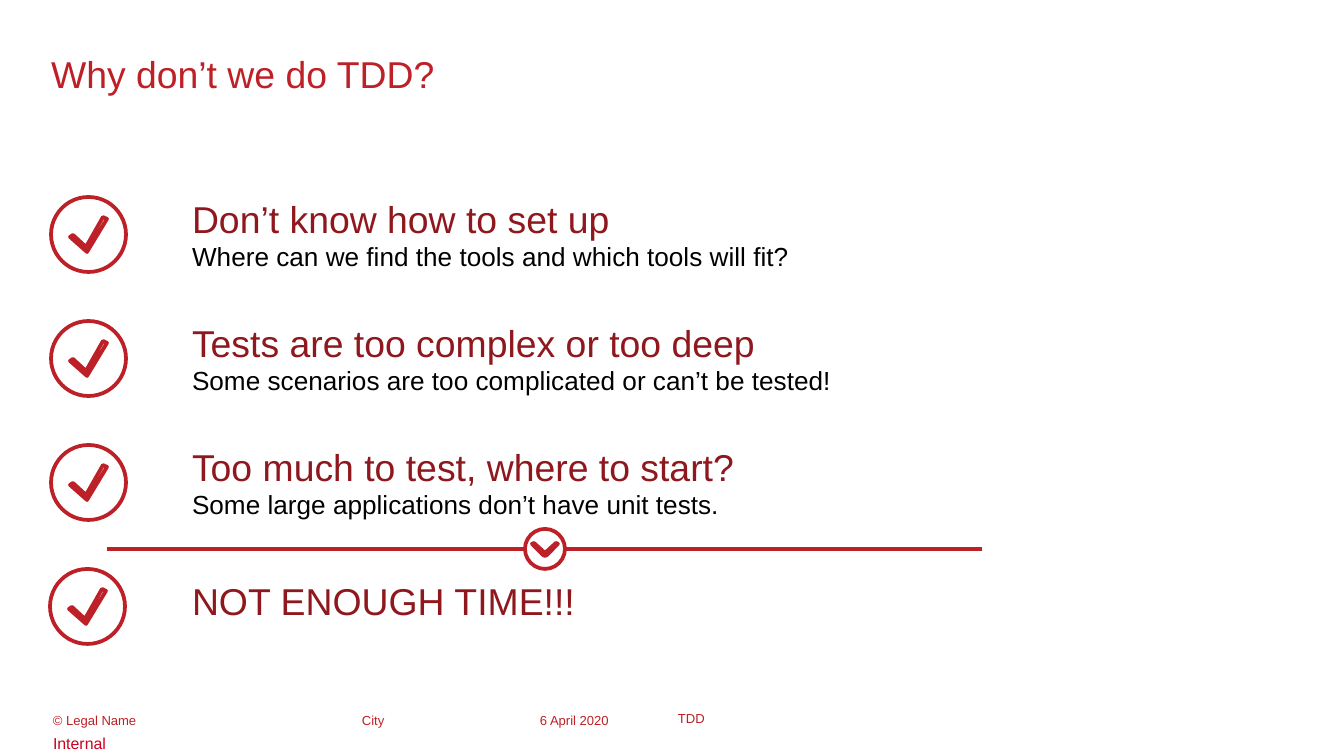
from dataclasses import dataclass

from lxml import etree
from pptx import Presentation
from pptx.dml.color import RGBColor
from pptx.enum.shapes import MSO_CONNECTOR, MSO_SHAPE
from pptx.enum.text import MSO_ANCHOR
from pptx.oxml.ns import qn
from pptx.util import Emu, Pt

TOP = MSO_ANCHOR.TOP
MIDDLE = MSO_ANCHOR.MIDDLE
OVAL = MSO_SHAPE.OVAL
STRAIGHT = MSO_CONNECTOR.STRAIGHT
EMU_PER_PX = 914400 / 134.4


@dataclass(frozen=True)
class Theme:
    font: str = "Arial"
    red: str = "BD2027"
    dark_red: str = "8E181D"
    label_red: str = "CA001F"
    black: str = "000000"
    white: str = "FFFFFF"
    heading_size: float = 20
    detail_size: float = 14
    label_size: float = 8.5
    footer_size: float = 7
    line_width: float = 2


THEME = Theme()

REASONS = [
    ("Don’t know how to set up", "Where can we find the tools and which tools will fit?"),
    ("Tests are too complex or too deep", "Some scenarios are too complicated or can’t be tested!"),
    ("Too much to test, where to start?", "Some large applications don’t have unit tests."),
]
CONCLUSION = "NOT ENOUGH TIME!!!"

FOOTERS = [
    ("© Legal Name", 53, 289, TOP),
    ("City", 362, 164, TOP),
    ("6 April 2020", 540, 117, TOP),
    ("TDD", 678, 426, MIDDLE),
]

ROW_TOP = 172
ROW_PITCH = 124
CONCLUSION_TOP = 539
TEXT_LEFT = 192
TEXT_WIDTH = 860
ICON_LEFT = 51
ICON_TOP = 197
ICON_SIZE = 75
BADGE_SIZE = 40
DIVIDER_Y = 549
CHECK = [(35, 50), (22, 38), (19, 40), (36, 55), (56, 22), (52, 20)]
CHEVRON = [(20, 27), (22, 26), (33, 15), (31, 14), (20, 24), (9, 14), (7, 15), (18, 26)]


def px(length):
    return Emu(round(length * EMU_PER_PX))


def color(value):
    return RGBColor.from_string(value)


def add_text(page, lines, left, top, width, height, anchor=TOP):
    box = page.shapes.add_textbox(px(left), px(top), px(width), px(height))
    frame = box.text_frame
    frame.word_wrap = True
    frame.vertical_anchor = anchor
    frame.margin_left = frame.margin_right = frame.margin_top = frame.margin_bottom = 0
    frame.text = "\n".join(text for text, _, _ in lines)
    for para, (_, size, ink) in zip(frame.paragraphs, lines):
        for span in para.runs:
            span.font.name = THEME.font
            span.font.size = Pt(size)
            span.font.color.rgb = color(ink)


def style_outline(shape):
    shape.shadow.inherit = False
    shape.fill.solid()
    shape.fill.fore_color.rgb = color(THEME.white)
    shape.line.color.rgb = color(THEME.red)
    shape.line.width = Pt(THEME.line_width)


def add_icon(page, left, top, size, points):
    group = page.shapes.add_group_shape()
    circle = group.shapes.add_shape(OVAL, px(left), px(top), px(size), px(size))
    start, *rest = [(left + x, top + y) for x, y in points]
    builder = group.shapes.build_freeform(*start, scale=EMU_PER_PX)
    builder.add_line_segments(rest, close=True)
    for shape in (circle, builder.convert_to_shape()):
        style_outline(shape)


def add_divider(page, left, right, y):
    line = page.shapes.add_connector(STRAIGHT, px(left), px(y), px(right), px(y))
    line.line.color.rgb = color(THEME.red)
    line.line.width = Pt(THEME.line_width)
    etree.SubElement(line._element.spPr, qn("a:effectLst"))


def add_reason(page, top, heading, detail=None):
    lines = [(heading, THEME.heading_size, THEME.dark_red)]
    if detail:
        lines.append((detail, THEME.detail_size, THEME.black))
    add_text(page, lines, TEXT_LEFT, top, TEXT_WIDTH, ROW_PITCH, MIDDLE)


def add_footers(page):
    for text, left, width, anchor in FOOTERS:
        line = (text, THEME.footer_size, THEME.red)
        add_text(page, [line], left, 712, width, 12, anchor)
    add_text(page, [("Internal", THEME.label_size, THEME.label_red)], 53, 734, 1200, 18)


def main():
    deck = Presentation()
    deck.slide_width, deck.slide_height = px(1344), px(756)
    page = deck.slides.add_slide(deck.slide_layouts[6])

    add_footers(page)
    title = ("Why don’t we do TDD?", THEME.heading_size, THEME.red)
    add_text(page, [title], 51, 51, 1232, 69)

    for row, (heading, detail) in enumerate(REASONS):
        offset = row * ROW_PITCH
        add_icon(page, ICON_LEFT, ICON_TOP + offset, ICON_SIZE, CHECK)
        add_reason(page, ROW_TOP + offset, heading, detail)

    conclusion_icon_top = ICON_TOP + len(REASONS) * ROW_PITCH
    add_icon(page, ICON_LEFT - 1, conclusion_icon_top, ICON_SIZE, CHECK)
    add_reason(page, CONCLUSION_TOP, CONCLUSION)

    left, right = 107, 982
    add_divider(page, left, right, DIVIDER_Y)
    badge_left = (left + right - BADGE_SIZE) // 2 + 1
    add_icon(page, badge_left, DIVIDER_Y - BADGE_SIZE // 2, BADGE_SIZE, CHEVRON)

    deck.save("out.pptx")


if __name__ == "__main__":
    main()
